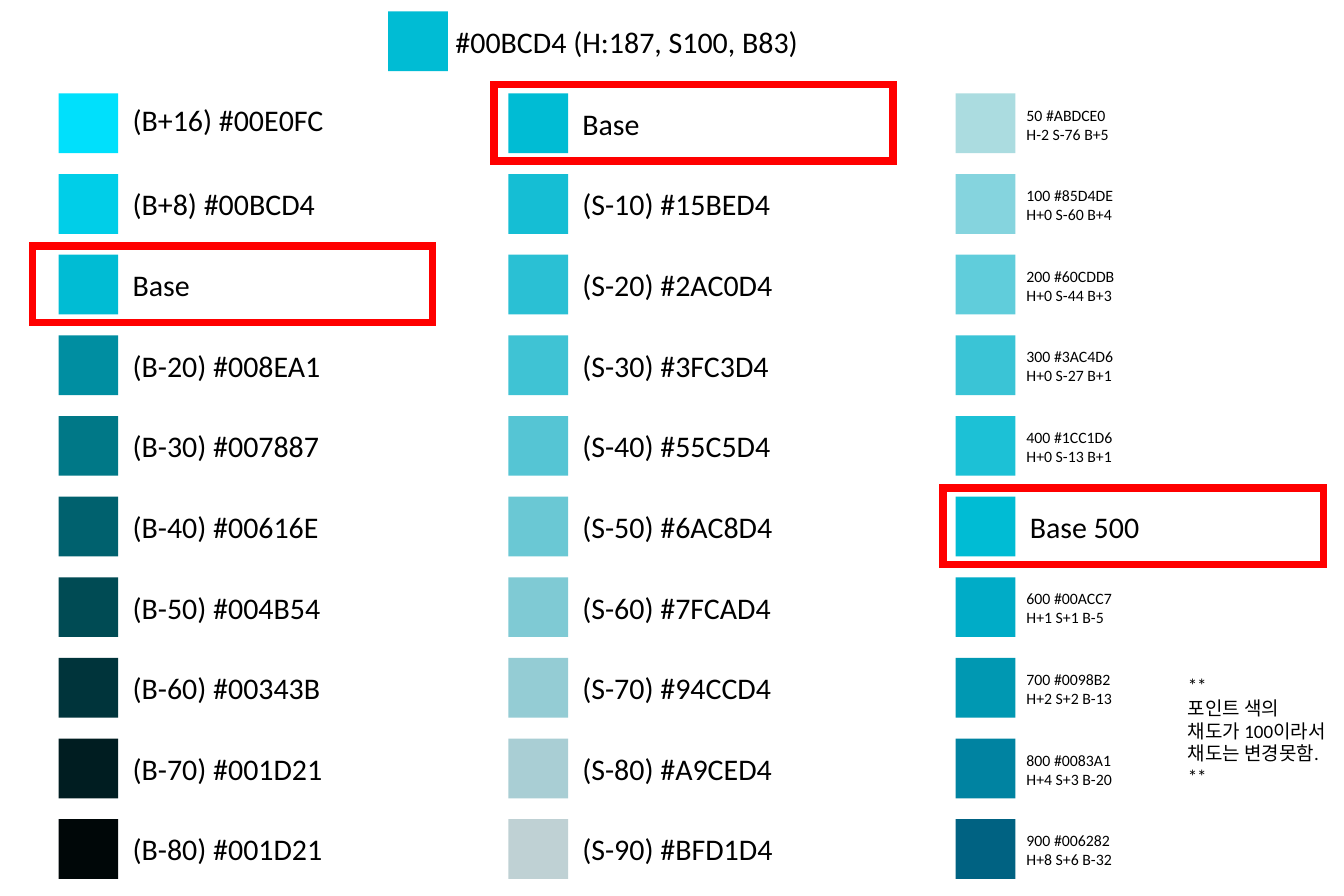
from dataclasses import dataclass

from lxml import etree
from pptx import Presentation
from pptx.dml.color import RGBColor
from pptx.enum.shapes import MSO_SHAPE
from pptx.enum.text import MSO_ANCHOR, PP_ALIGN
from pptx.oxml.ns import qn
from pptx.shapes.autoshape import Shape
from pptx.shapes.shapetree import GroupShapes, SlideShapes
from pptx.text.text import TextFrame
from pptx.util import Cm, Pt

RECTANGLE = MSO_SHAPE.RECTANGLE
TOP = MSO_ANCHOR.TOP
LEFT = PP_ALIGN.LEFT

FONT = "Calibri"
LARGE, MEDIUM, SMALL = 28.4, 18, 15
INDENT = {LARGE: 0.48, SMALL: 0.37}
PLAIN_INDENT = 0.25

# Lengths in centimetres
SWATCH_SIZE = 2.0
FIRST_TOP = 3.13
ROW_PITCH = 2.7
LABEL_DROP = 0.27
LABEL_WIDTH, LABEL_HEIGHT = 9.7, 1.5
FRAME_RISE, FRAME_HEIGHT = 0.3, 2.57

COLOURS = {
    "text": "000000", "frame": "FF0000", "base": "00BCD4",
    "B+16": "00E0FC", "B+8": "00CEE8", "B-20": "008EA1", "B-30": "007887",
    "B-40": "00616E", "B-50": "004B54", "B-60": "00343B", "B-70": "001D21",
    "B-80": "000708",
    "S-10": "15BED4", "S-20": "2AC0D4", "S-30": "3FC3D4", "S-40": "55C5D4",
    "S-50": "6AC8D4", "S-60": "7FCAD4", "S-70": "94CCD4", "S-80": "A9CED4",
    "S-90": "BFD1D4",
    "50": "ABDCE0", "100": "85D4DE", "200": "60CDDB", "300": "3AC4D6",
    "400": "1CC1D6", "600": "00ACC7", "700": "0098B2", "800": "0083A1",
    "900": "006282",
}
# Codes written on the slide that differ from the swatch fill
WRITTEN_CODES = {"B+8": "00BCD4", "B-80": "001D21"}


@dataclass
class Swatch:
    """A colour square with its caption."""
    colour: str
    caption: str
    size: float = LARGE
    label_drop: float = LABEL_DROP


@dataclass
class Column:
    """A column of swatches whose base colour is framed."""
    left: float
    frame_left: float
    frame_width: float
    swatches: list[Swatch]


def shade(name: str, label_drop: float = LABEL_DROP) -> Swatch:
    """Describe a brightness or saturation step."""
    code = WRITTEN_CODES.get(name, COLOURS[name])
    return Swatch(name, f"({name}) #{code}", label_drop=label_drop)


def tone(name: str, change: str) -> Swatch:
    """Describe a numbered tone and its change from the base."""
    return Swatch(name, f"{name} #{COLOURS[name]}\v{change}", SMALL)


COLUMNS = [
    Column(1.96, 1.09, 13.39, [
        shade("B+16", 0.15), shade("B+8"), Swatch("base", "Base"),
        *(shade(f"B-{step}") for step in range(20, 90, 10))]),
    Column(17.02, 16.54, 13.36, [
        Swatch("base", "Base"),
        *(shade(f"S-{step}") for step in range(10, 100, 10))]),
    Column(32.0, 31.57, 12.75, [
        tone("50", "H-2 S-76 B+5"), tone("100", "H+0 S-60 B+4"),
        tone("200", "H+0 S-44 B+3"), tone("300", "H+0 S-27 B+1"),
        tone("400", "H+0 S-13 B+1"), Swatch("base", "Base 500"),
        tone("600", "H+1 S+1 B-5"), tone("700", "H+2 S+2 B-13"),
        tone("800", "H+4 S+3 B-20"), tone("900", "H+8 S+6 B-32")]),
]
NOTE = "**\v포인트 색의\n채도가 100이라서\n채도는 변경못함.\v**"


def rgb(name: str) -> RGBColor:
    """Look up a named colour."""
    return RGBColor.from_string(COLOURS[name])


def write(frame: TextFrame, text: str, size: float, indent: float,
          wrap: bool = True) -> None:
    """Fill a text frame with left-aligned text."""
    frame.text = text
    frame.word_wrap = wrap
    frame.vertical_anchor = TOP
    frame.margin_left = Cm(indent)
    for para in frame.paragraphs:
        para.alignment = LEFT
        para.font.name = FONT
        para.font.size = Pt(size)
        para.font.color.rgb = rgb("text")


def add_square(shapes: SlideShapes | GroupShapes, colour: str,
               left: float, top: float) -> None:
    """Draw one colour square."""
    square = shapes.add_shape(RECTANGLE, Cm(left), Cm(top),
                              Cm(SWATCH_SIZE), Cm(SWATCH_SIZE))
    square.shadow.inherit = False
    square.fill.solid()
    square.fill.fore_color.rgb = rgb(colour)
    square.line.fill.background()


def add_swatch(shapes: SlideShapes, swatch: Swatch, left: float,
               top: float) -> None:
    """Draw a colour square grouped with its caption."""
    group = shapes.add_group_shape()
    add_square(group.shapes, swatch.colour, left, top)
    label = group.shapes.add_textbox(
        Cm(left + SWATCH_SIZE), Cm(top + swatch.label_drop),
        Cm(LABEL_WIDTH), Cm(LABEL_HEIGHT))
    write(label.text_frame, swatch.caption, swatch.size, INDENT[swatch.size])


def add_frame(shapes: SlideShapes, column: Column) -> Shape:
    """Outline the base colour of a column."""
    row = [swatch.colour for swatch in column.swatches].index("base")
    top = FIRST_TOP + row * ROW_PITCH - FRAME_RISE
    frame = shapes.add_shape(RECTANGLE, Cm(column.frame_left), Cm(top),
                             Cm(column.frame_width), Cm(FRAME_HEIGHT))
    frame.shadow.inherit = False
    frame.fill.background()
    frame.line.color.rgb = rgb("frame")
    frame.line.width = Pt(7.25)
    outline = frame.element.spPr.find(qn("a:ln"))
    etree.SubElement(outline, qn("a:miter"), lim="800000")
    return frame


deck = Presentation()
deck.slide_width, deck.slide_height = Cm(45), Cm(30)
page = deck.slides.add_slide(deck.slide_layouts.get_by_name("Title Only"))

add_square(page.shapes, "base", 13.0, 0.38)
title = page.shapes.title
title.left, title.top = Cm(15), Cm(0.65)
title.width, title.height = Cm(17), Cm(LABEL_HEIGHT)
write(title.text_frame, f"#{COLOURS['base']} (H:187, S100, B83)", LARGE,
      PLAIN_INDENT)

for column in COLUMNS:
    for row, swatch in enumerate(column.swatches):
        add_swatch(page.shapes, swatch, column.left,
                   FIRST_TOP + row * ROW_PITCH)
    add_frame(page.shapes, column)

note = page.shapes.add_textbox(Cm(39.52), Cm(22.43), Cm(5.48), Cm(4.11))
write(note.text_frame, NOTE, MEDIUM, PLAIN_INDENT, wrap=False)

deck.save("out.pptx")
